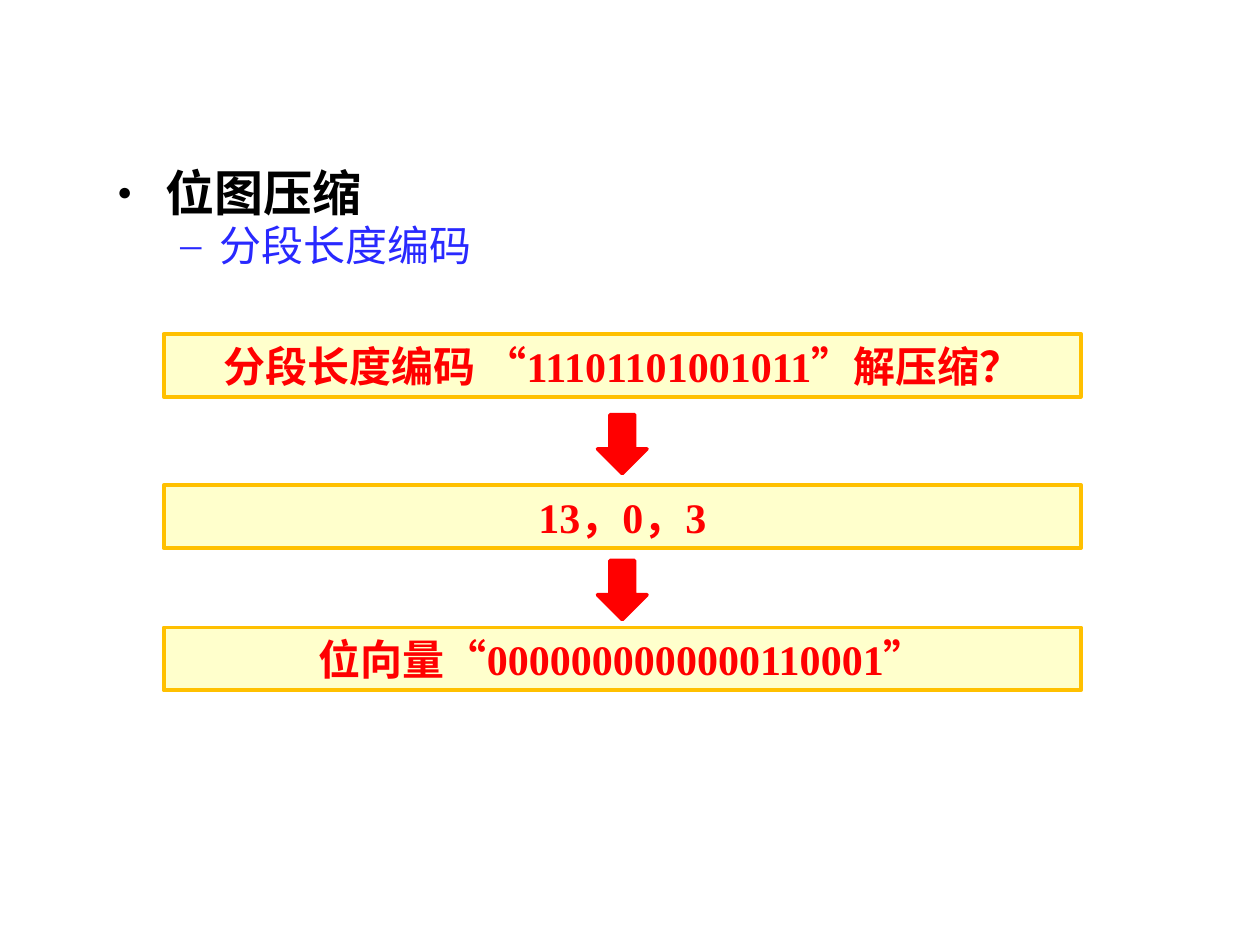
import lxml.etree
import pptx
import pptx.dml.color
import pptx.enum.shapes
import pptx.enum.text
import pptx.oxml.ns
import pptx.util
from pptx.util import Cm

BLACK = pptx.dml.color.RGBColor(0x00, 0x00, 0x00)
BLUE = pptx.dml.color.RGBColor(0x29, 0x29, 0xFF)
RED = pptx.dml.color.RGBColor(0xFF, 0x00, 0x00)
CREAM = pptx.dml.color.RGBColor(0xFF, 0xFF, 0xCC)
GOLD = pptx.dml.color.RGBColor(0xFF, 0xC0, 0x00)

LATIN_FONT = "Times New Roman"
CHINESE_FONT = "Noto Sans CJK SC"

# text, level, size, bold, colour, left margin, hanging indent, bullet, bullet size in %
OUTLINE = [
    ("位图压缩", 0, 28, True, BLACK, Cm(0.97), Cm(0.97), "●", 50),
    ("分段长度编码", 1, 24, False, BLUE, Cm(2.06), Cm(0.79), "–", 100),
]
# top within the flow, runs as (text, font)
STEPS = [
    (Cm(0), [("分段长度编码 “11101101001011”", LATIN_FONT), ("解压缩？", CHINESE_FONT)]),
    (Cm(3.05), [("13，0，3", LATIN_FONT)]),
    (Cm(5.92), [("位向量“0000000000000110001”", LATIN_FONT)]),
]
ARROW_TOPS = [Cm(1.63), Cm(4.57)]
STEP_HEIGHT = Cm(1.27)
ARROW_WIDTH, ARROW_HEIGHT = Cm(1), Cm(1.19)


def style_font(font, size, bold, color):
    font.size = pptx.util.Pt(size)
    font.bold = bold
    font.color.rgb = color


def set_bullet(paragraph, margin, hanging, character, percent):
    properties = paragraph._p.get_or_add_pPr()
    properties.set("marL", str(margin))
    properties.set("indent", str(-hanging))
    bullet_parts = [("a:buSzPct", "val", str(percent * 1000)),
                    ("a:buFont", "typeface", LATIN_FONT),
                    ("a:buChar", "char", character)]
    for tag, attribute, value in bullet_parts:
        element = lxml.etree.SubElement(properties, pptx.oxml.ns.qn(tag))
        element.set(attribute, value)


def fill_outline(body, left, top, width, height):
    body.left, body.top, body.width, body.height = left, top, width, height
    frame = body.text_frame
    frame.vertical_anchor = pptx.enum.text.MSO_ANCHOR.TOP
    for index, (text, level, size, bold, color, *bullet) in enumerate(OUTLINE):
        paragraph = frame.add_paragraph() if index else frame.paragraphs[0]
        paragraph.text = text
        paragraph.level = level
        paragraph.line_spacing = 0.85
        paragraph.space_before = pptx.util.Pt(3)
        set_bullet(paragraph, *bullet)
        style_font(paragraph.font, size, bold, color)
        paragraph.font.name = LATIN_FONT


def add_filled_shape(slide, kind, box, fill, line, line_width):
    shape = slide.shapes.add_shape(kind, *box)
    shape.shadow.inherit = False
    shape.fill.solid()
    shape.fill.fore_color.rgb = fill
    shape.line.color.rgb = line
    shape.line.width = pptx.util.Pt(line_width)
    return shape


def add_step(slide, box, runs):
    shape = add_filled_shape(slide, pptx.enum.shapes.MSO_SHAPE.RECTANGLE,
                             box, CREAM, GOLD, 2.25)
    frame = shape.text_frame
    frame.word_wrap = True
    frame.vertical_anchor = pptx.enum.text.MSO_ANCHOR.MIDDLE
    paragraph = frame.paragraphs[0]
    paragraph.alignment = pptx.enum.text.PP_ALIGN.CENTER
    style_font(paragraph.font, 24, True, RED)
    for text, font_name in runs:
        run = paragraph.add_run()
        run.text = text
        run.font.name = font_name


def add_decoding_flow(slide, left, top, width):
    """Stack the decoding steps, with a centred arrow in each gap."""
    for offset, runs in STEPS:
        add_step(slide, (left, top + offset, width, STEP_HEIGHT), runs)
    arrow_left = left + (width - ARROW_WIDTH) // 2
    for offset in ARROW_TOPS:
        box = (arrow_left, top + offset, ARROW_WIDTH, ARROW_HEIGHT)
        add_filled_shape(slide, pptx.enum.shapes.MSO_SHAPE.DOWN_ARROW, box, RED, RED, 2)


def main():
    presentation = pptx.Presentation()
    presentation.slide_width, presentation.slide_height = Cm(25.4), Cm(19.05)
    slide = presentation.slides.add_slide(presentation.slide_layouts[1])
    title = slide.shapes.title.element
    title.getparent().remove(title)
    fill_outline(slide.placeholders[1], Cm(2.11), Cm(3.33), Cm(23.6), Cm(14.2))
    add_decoding_flow(slide, Cm(3.3), Cm(6.73), Cm(18.49))
    presentation.save("out.pptx")


if __name__ == "__main__":
    main()
